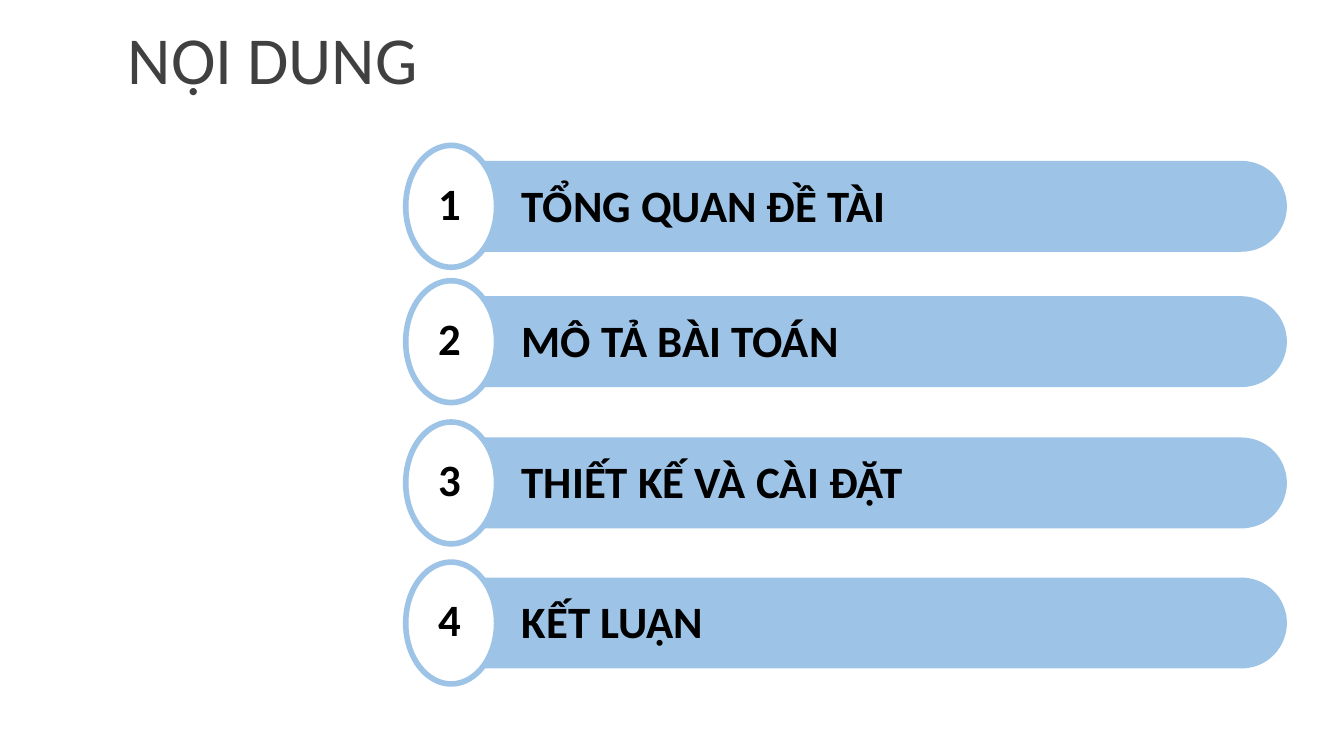
from pptx import Presentation
from pptx import util as u
from pptx.dml.color import RGBColor
from pptx.enum import shapes, text

FONT = "Calibri"
BLUE, WHITE, BLACK, GREY = "9DC3E6", "FFFFFF", "000000", "404040"

# Vertical centre of each row in cm, with its heading
ROWS = [
    (5.2, "TỔNG QUAN ĐỀ TÀI"),
    (8.61, "MÔ TẢ BÀI TOÁN"),
    (12.17, "THIẾT KẾ VÀ CÀI ĐẶT"),
    (15.7, "KẾT LUẬN"),
]


def color(value):
    return RGBColor.from_string(value)


def centred(x, y, width, height):
    """Return left, top, width and height of a box centred on x, y."""
    return u.Cm(x - width / 2), u.Cm(y - height / 2), u.Cm(width), u.Cm(height)


def write(shape, words, size, ink, bold=False, align=text.PP_ALIGN.LEFT):
    frame = shape.text_frame
    frame.word_wrap = True
    frame.vertical_anchor = text.MSO_ANCHOR.MIDDLE
    paragraph = frame.paragraphs[0]
    paragraph.text = words
    paragraph.alignment = align
    font = paragraph.font
    font.name, font.size, font.bold = FONT, u.Pt(size), bold
    font.color.rgb = color(ink)


def add_filled(parent, kind, box, fill, line=None):
    shape = parent.shapes.add_shape(kind, *box)
    shape.shadow.inherit = False
    shape.fill.solid()
    shape.fill.fore_color.rgb = color(fill)
    if line:
        shape.line.color.rgb = color(line)
        shape.line.width = u.Pt(4)
    else:
        shape.line.fill.background()
    return shape


def add_row(slide, number, middle, heading):
    group = slide.shapes.add_group_shape()
    kinds = shapes.MSO_SHAPE

    # Bar with a rounded right end
    bar = add_filled(group, kinds.ROUND_2_SAME_RECTANGLE,
                     centred(21.89, middle, 2.29, 21.08), BLUE)
    bar.adjustments[0], bar.adjustments[1] = 0.5, 0
    bar.rotation = 90

    # Oval with the number
    add_filled(group, kinds.OVAL, centred(11.37, middle, 2.29, 3.07), WHITE, BLUE)
    digit = group.shapes.add_textbox(*centred(11.34, middle - 0.1, 2.26, 1.37))
    digit.text_frame.margin_top = digit.text_frame.margin_bottom = 0
    write(digit, str(number), 32, BLACK, True, text.PP_ALIGN.CENTER)

    # Heading
    label = add_filled(group, kinds.RECTANGLE,
                       centred(22.31, middle - 0.05, 18.82, 1.63), BLUE)
    write(label, heading, 32, BLACK, True)


def main():
    presentation = Presentation()
    presentation.slide_width, presentation.slide_height = u.Cm(33.87), u.Cm(19.05)
    slide = presentation.slides.add_slide(presentation.slide_layouts[6])

    # Title
    title = slide.shapes.add_textbox(u.Cm(2.97), u.Cm(0.38), u.Cm(24.94), u.Cm(2.13))
    write(title, "NỘI DUNG", 48, GREY)

    # Contents
    for number, (middle, heading) in enumerate(ROWS, 1):
        add_row(slide, number, middle, heading)

    presentation.save("out.pptx")


if __name__ == "__main__":
    main()
